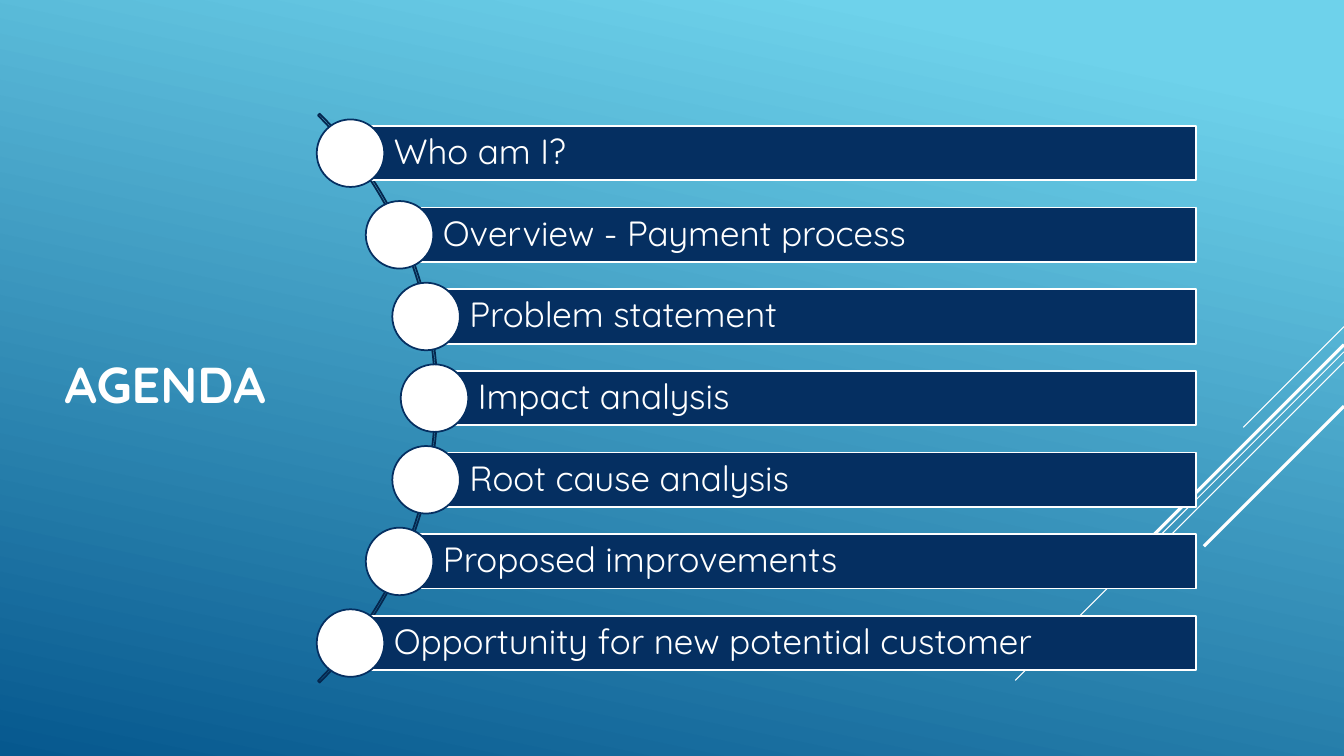
import math

import pptx
import pptx.dml.color
import pptx.enum.shapes
import pptx.enum.text
import pptx.oxml.ns
import pptx.util
from lxml import etree

Inches = pptx.util.Inches
Pt = pptx.util.Pt
SHAPES = pptx.enum.shapes.MSO_SHAPE

COLORS = {
    "white": "FFFFFF",
    "navy": "052F61",
    "arc": "04264E",
    "sky": "6ED2EB",
    "ocean": "06588E",
}
FONT = "Quicksand"

AGENDA = [
    "Who am I?",
    "Overview - Payment process",
    "Problem statement",
    "Impact analysis",
    "Root cause analysis",
    "Proposed improvements",
    "Opportunity for new potential customer",
]
# Start x, start y and horizontal run of each 45-degree stripe, and its width
STRIPES = [
    (13.33, 3.24, 1.0, 0.75),
    (13.33, 3.49, 3.26, 0.75),
    (13.33, 3.59, 2.07, 0.75),
    (13.33, 3.42, 1.91, 2.25),
    (13.33, 4.03, 1.39, 2.25),
]
CENTER_X, CENTER_Y = 0.35, 3.95
ARC_RADIUS = 3.99
ITEM_RADIUS = 3.96
ITEM_STEP = 0.81
BAR_RIGHT, BAR_HEIGHT = 11.86, 0.54
DOT_SIZE = 0.67


def rgb(name):
    return pptx.dml.color.RGBColor.from_string(COLORS[name])


def write_text(shape, text, size, bold=False, color="white", line_spacing=None,
               insets=(0.1, 0.05, 0.1, 0.05)):
    """Fill a shape with one left-aligned, vertically centred paragraph."""
    frame = shape.text_frame
    frame.word_wrap = True
    frame.auto_size = pptx.enum.text.MSO_AUTO_SIZE.NONE
    frame.vertical_anchor = pptx.enum.text.MSO_ANCHOR.MIDDLE
    (frame.margin_left, frame.margin_top,
     frame.margin_right, frame.margin_bottom) = map(Inches, insets)
    paragraph = frame.paragraphs[0]
    paragraph.alignment = pptx.enum.text.PP_ALIGN.LEFT
    paragraph.line_spacing = line_spacing
    run = paragraph.add_run()
    run.text = text
    run.font.name = FONT
    run.font.size = Pt(size)
    run.font.bold = bold
    run.font.color.rgb = rgb(color)


class AgendaSlide:
    def __init__(self, presentation):
        self.slide = presentation.slides.add_slide(presentation.slide_layouts[5])

    def background(self, start, end, angle):
        """Paint a gradient at a clockwise angle in degrees."""
        fill = self.slide.background.fill
        fill.gradient()
        fill.gradient_angle = 360 - angle
        for stop, color, position in zip(fill.gradient_stops, (start, end), (0.1, 1)):
            stop.color.rgb = rgb(color)
            stop.position = position

    def title(self, text, left, top, width, height):
        title = self.slide.shapes.title
        title.left, title.top = Inches(left), Inches(top)
        title.width, title.height = Inches(width), Inches(height)
        write_text(title, text, 36, bold=True)

    def stripe(self, x, y, run, width):
        line = self.slide.shapes.add_connector(
            pptx.enum.shapes.MSO_CONNECTOR.STRAIGHT,
            Inches(x), Inches(y), Inches(x - run), Inches(y + run))
        line.line.color.rgb = rgb("white")
        line.line.width = Pt(width)
        etree.SubElement(line._element.spPr, pptx.oxml.ns.qn("a:effectLst"))

    def shape(self, kind, left, top, width, height, line, fill=None):
        shape = self.slide.shapes.add_shape(
            kind, Inches(left), Inches(top), Inches(width), Inches(height))
        shape.shadow.inherit = False
        if fill:
            shape.fill.solid()
            shape.fill.fore_color.rgb = rgb(fill)
        else:
            shape.fill.background()
        shape.line.color.rgb = rgb(line)
        shape.line.width = Pt(1.25)
        return shape

    def arc(self):
        size = 2 * ARC_RADIUS
        arc = self.shape(SHAPES.BLOCK_ARC, CENTER_X - ARC_RADIUS,
                         CENTER_Y - ARC_RADIUS, size, size, "arc")
        for index, value in enumerate((189, 27, 0.003)):
            arc.adjustments[index] = value

    def item(self, text, offset):
        """Place a bar and its dot on the arc, offset vertically from its centre."""
        x = CENTER_X + math.sqrt(ITEM_RADIUS ** 2 - offset ** 2)
        y = CENTER_Y + offset
        bar = self.shape(SHAPES.RECTANGLE, x, y - BAR_HEIGHT / 2,
                         BAR_RIGHT - x, BAR_HEIGHT, "white", "navy")
        write_text(bar, text, 25, line_spacing=0.9, insets=(0.43, 0.07, 0.07, 0.07))
        self.shape(SHAPES.OVAL, x - DOT_SIZE / 2, y - DOT_SIZE / 2,
                   DOT_SIZE, DOT_SIZE, "navy", "white")


def main():
    presentation = pptx.Presentation()
    presentation.slide_width = Inches(13.33)
    presentation.slide_height = Inches(7.5)
    agenda = AgendaSlide(presentation)
    agenda.background("sky", "ocean", 102)
    for stripe in STRIPES:
        agenda.stripe(*stripe)
    agenda.title("AGENDA", 0.54, 3.32, 2.66, 0.96)
    agenda.arc()
    middle = len(AGENDA) // 2
    for index, text in enumerate(AGENDA):
        agenda.item(text, (index - middle) * ITEM_STEP)
    presentation.save("out.pptx")


if __name__ == "__main__":
    main()
